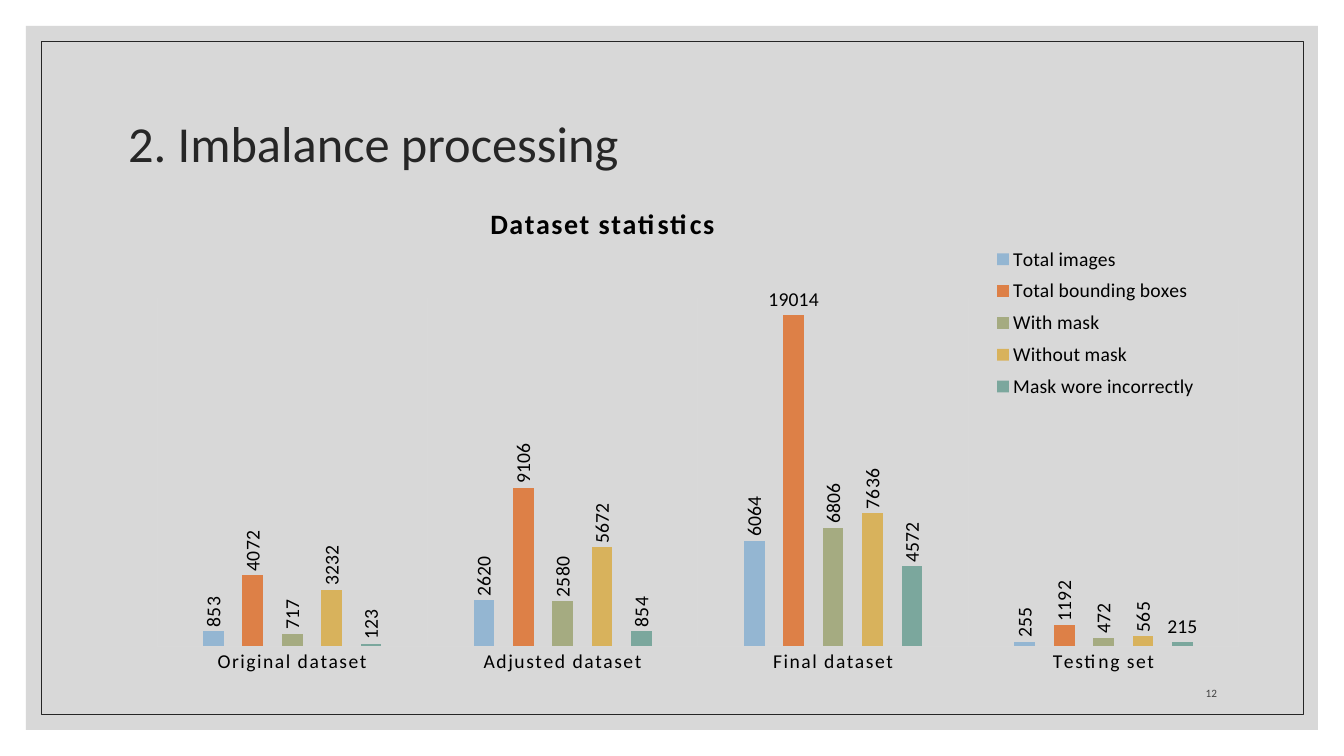
from pptx import Presentation
from pptx.chart.data import CategoryChartData
from pptx.dml.color import RGBColor
from pptx.enum.chart import XL_CHART_TYPE, XL_LABEL_POSITION, XL_LEGEND_POSITION, XL_TICK_MARK
from pptx.enum.shapes import MSO_SHAPE
from pptx.enum.text import MSO_ANCHOR, PP_ALIGN
from pptx.oxml import parse_xml
from pptx.oxml.ns import nsdecls, qn
from pptx.util import Emu, Pt

CLUSTERED = XL_CHART_TYPE.COLUMN_CLUSTERED
OUTSIDE_END = XL_LABEL_POSITION.OUTSIDE_END
CORNER = XL_LEGEND_POSITION.CORNER
NO_TICK = XL_TICK_MARK.NONE
RECTANGLE = MSO_SHAPE.RECTANGLE
MIDDLE, BOTTOM = MSO_ANCHOR.MIDDLE, MSO_ANCHOR.BOTTOM
LEFT, RIGHT = PP_ALIGN.LEFT, PP_ALIGN.RIGHT

BLACK = RGBColor(0x00, 0x00, 0x00)
DARK = RGBColor(0x26, 0x26, 0x26)
NUMBER_GRAY = RGBColor(0x40, 0x40, 0x40)
PANEL_GRAY = RGBColor(0xBF, 0xBF, 0xBF)
GRID_GRAY = RGBColor(0xD9, 0xD9, 0xD9)
BLUE = RGBColor(0x94, 0xB6, 0xD2)
ORANGE = RGBColor(0xDD, 0x80, 0x47)
GREEN = RGBColor(0xA5, 0xAB, 0x81)
YELLOW = RGBColor(0xD8, 0xB2, 0x5C)
TEAL = RGBColor(0x7B, 0xA7, 0x9D)

DATASETS = ["Original dataset", "Adjusted dataset", "Final dataset", "Testing set"]
COUNTS = [
    ("Total images", (853, 2620, 6064, 255), BLUE),
    ("Total bounding boxes", (4072, 9106, 19014, 1192), ORANGE),
    ("With mask", (717, 2580, 6806, 472), GREEN),
    ("Without mask", (3232, 5672, 7636, 565), YELLOW),
    ("Mask wore incorrectly", (123, 854, 4572, 215), TEAL),
]
HORIZONTAL_LABELS = {"Total bounding boxes": 2, "Mask wore incorrectly": 3}


def px(*lengths):
    return [Emu(round(length * 12192000 / 1344)) for length in lengths]


def set_font(font, size, color):
    font.name = "Calibri"
    font.size = Pt(size)
    font.color.rgb = color


prs = Presentation()
prs.slide_width, prs.slide_height = px(1344, 756)
slide = prs.slides.add_slide(prs.slide_layouts[5])

panel = slide.shapes.add_shape(RECTANGLE, *px(26, 26, 1292, 704))
panel.shadow.inherit = False
panel.fill.solid()
panel.fill.fore_color.rgb = PANEL_GRAY
panel.line.fill.background()
panel_color = panel.element.spPr.find(qn("a:solidFill"))[0]
panel_color.append(parse_xml(f'<a:alpha {nsdecls("a")} val="60000"/>'))

border = slide.shapes.add_shape(RECTANGLE, *px(41, 41, 1262, 673))
border.shadow.inherit = False
border.fill.background()
border.line.color.rgb = DARK
border.line.width = Pt(0.5)

statistics = CategoryChartData()
statistics.categories = DATASETS
for name, values, color in COUNTS:
    statistics.add_series(name, values)
chart = slide.shapes.add_chart(CLUSTERED, *px(138, 179, 1120, 505), statistics).chart
set_font(chart.font, 10, BLACK)

chart.has_title = True
chart_heading = chart.chart_title.text_frame.paragraphs[0].add_run()
chart_heading.text = "Dataset statistics"
set_font(chart_heading.font, 20, BLACK)
chart_heading.font.bold = True
chart_heading.font._element.set("spc", "100")

chart.has_legend = True
legend = chart.legend
legend.position = CORNER
legend.include_in_layout = False
set_font(legend.font, 14, BLACK)

dataset_axis = chart.category_axis
dataset_axis.major_tick_mark = NO_TICK
dataset_axis.has_major_gridlines = True
for line in (dataset_axis.format.line, dataset_axis.major_gridlines.format.line):
    line.color.rgb = GRID_GRAY
    line.width = Pt(0.75)
set_font(dataset_axis.tick_labels.font, 14, BLACK)
dataset_axis.tick_labels.font._element.set("spc", "100")

count_axis = chart.value_axis
count_axis.visible = False
count_axis.has_major_gridlines = False
count_axis.minimum_scale = 0
count_axis.maximum_scale = 20000

plot = chart.plots[0]
plot.vary_by_categories = False
plot.gap_width = 444
plot.overlap = -90
for series, (name, values, color) in zip(plot.series, COUNTS):
    series.format.fill.solid()
    series.format.fill.fore_color.rgb = color
    labels = series.data_labels
    labels.show_value = True
    rotations = [(labels, "-5400000")]
    if name in HORIZONTAL_LABELS:
        rotations.append((series.points[HORIZONTAL_LABELS[name]].data_label, "0"))
    for label, rotation in rotations:
        set_font(label.font, 14, BLACK)
        label.position = OUTSIDE_END
        body = label.font._element.getparent().getparent().getparent().find(qn("a:bodyPr"))
        body.set("rot", rotation)
        body.set("vert", "horz")

plot_area = chart._chartSpace.chart.plotArea
for part, index, target, box in [
    (plot_area, 0, '<c:layoutTarget val="inner"/>', {"x": 0.017, "y": 0.236, "w": 0.966, "h": 0.689}),
    (chart.chart_title._element, 1, "", {"x": 0.31, "y": 0.04}),
    (legend._element, 1, "", {"x": 0.76, "y": 0.12, "w": 0.19, "h": 0.33}),
]:
    for layout in part.findall(qn("c:layout")):
        part.remove(layout)
    modes = "".join(f'<c:{side}Mode val="edge"/>' for side in "xy")
    sizes = "".join(f'<c:{side} val="{share}"/>' for side, share in box.items())
    part.insert(index, parse_xml(
        f'<c:layout {nsdecls("c")}><c:manualLayout>{target}{modes}{sizes}</c:manualLayout></c:layout>'))

title = slide.shapes.title
title.left, title.top, title.width, title.height = px(118, 71, 1109, 151)
title.text_frame.text = "2. Imbalance processing"
title.text_frame.vertical_anchor = MIDDLE
heading = title.text_frame.paragraphs[0]
heading.alignment = LEFT
heading.line_spacing = 0.9
set_font(heading.font, 36, DARK)
title.element.getparent().append(title.element)

slide_number = slide.shapes.add_textbox(*px(1134, 665, 93, 40)).text_frame
slide_number.word_wrap = True
slide_number.vertical_anchor = BOTTOM
slide_number.text = "12"
slide_number.paragraphs[0].alignment = RIGHT
set_font(slide_number.paragraphs[0].font, 8, NUMBER_GRAY)

prs.save("out.pptx")
